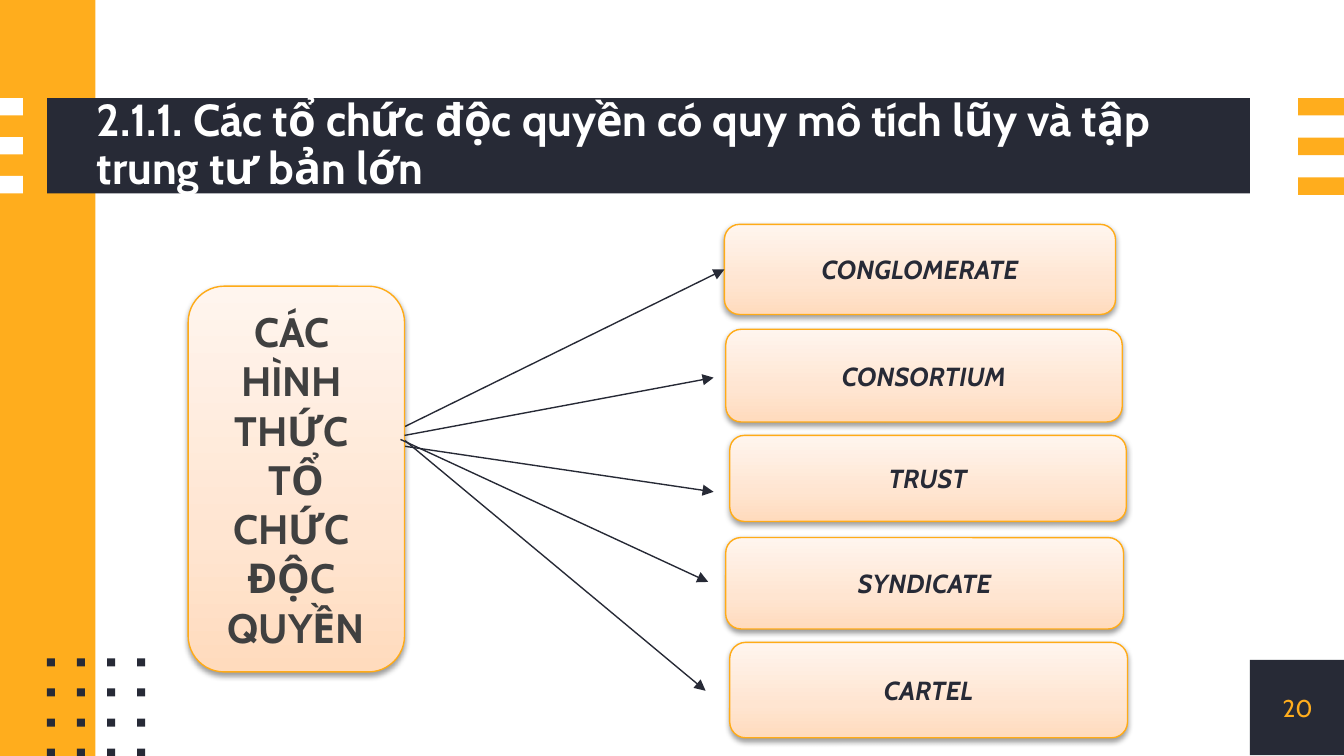
"""Build the slide on the organisational forms of monopoly."""
import lxml.etree
import pptx
import pptx.dml.color
import pptx.enum.shapes
import pptx.enum.text
import pptx.oxml.ns
import pptx.util

Inches = pptx.util.Inches
rgb = pptx.dml.color.RGBColor.from_string
qn = pptx.oxml.ns.qn
SHAPE = pptx.enum.shapes.MSO_SHAPE
ALIGN = pptx.enum.text.PP_ALIGN
NAVY, AMBER, WHITE = "272A36", "FFAD1D", "FFFFFF"
SLIDE_WIDTH = 10
SLIDE_HEIGHT = SLIDE_WIDTH * 9 / 16


def write(shape, text, size, color, bold=False, italic=False,
          align=ALIGN.CENTER, inset=None, spacing=None):
    frame = shape.text_frame
    frame.text = text
    frame.word_wrap = True
    frame.auto_size = pptx.enum.text.MSO_AUTO_SIZE.NONE
    frame.vertical_anchor = pptx.enum.text.MSO_ANCHOR.MIDDLE
    if inset is not None:
        frame.margin_left = frame.margin_right = Inches(inset)
        frame.margin_top = frame.margin_bottom = Inches(inset)
    for paragraph in frame.paragraphs:
        paragraph.alignment = align
        paragraph.line_spacing = spacing
        for run in paragraph.runs:
            run.font.name = "Cabin"
            run.font.size = pptx.util.Pt(size)
            run.font.bold = bold
            run.font.italic = italic
            run.font.color.rgb = rgb(color)


def add_card(shapes, left, top, width, height):
    card = shapes.add_shape(SHAPE.ROUNDED_RECTANGLE, Inches(left), Inches(top),
                            Inches(width), Inches(height))
    card.fill.gradient()
    card.fill.gradient_angle = 90
    stops = card._element.spPr.find(qn("a:gradFill")).find(qn("a:gsLst"))
    for stop in list(stops):
        stops.remove(stop)
    for position, color in ((0, "FFDBBD"), (35000, "FFE5D1"), (100000, "FFF5EE")):
        stop = lxml.etree.SubElement(stops, qn("a:gs"), pos=str(position))
        lxml.etree.SubElement(stop, qn("a:srgbClr"), val=color)
    card.line.color.rgb = rgb("FFAB17")
    card.line.width = pptx.util.Pt(0.75)
    card.shadow.inherit = False
    effects = card._element.spPr.find(qn("a:effectLst"))
    shadow = lxml.etree.SubElement(
        effects, qn("a:outerShdw"), blurRad=str(pptx.util.Pt(3.1)),
        dist=str(pptx.util.Pt(1.6)), dir="5400000", rotWithShape="0")
    shade = lxml.etree.SubElement(shadow, qn("a:srgbClr"), val="000000")
    lxml.etree.SubElement(shade, qn("a:alpha"), val="38000")
    return card


deck = pptx.Presentation()
deck.slide_width, deck.slide_height = Inches(SLIDE_WIDTH), Inches(SLIDE_HEIGHT)
slide = deck.slides.add_slide(deck.slide_layouts[5])
shapes = slide.shapes
title = shapes.title

decor = [
    (9.3, 4.91, 0.71, 0.71, NAVY),
    (0, 0, 0.71, SLIDE_HEIGHT, AMBER),
    (0.35, 0.73, 8.95, 0.71, NAVY),
]
decor += [(0, 0.73 + 0.29 * row, 0.17, 0.13, WHITE) for row in range(3)]
decor += [(9.66, 0.73 + 0.59 * row / 2, 0.34, 0.13, AMBER) for row in range(3)]
decor += [(0.35 + 0.67 * column / 3, 4.9 + 0.67 * row / 3, 0.06, 0.06, NAVY)
          for row in range(4) for column in range(4)]
for left, top, width, height, color in decor:
    block = shapes.add_shape(SHAPE.RECTANGLE, Inches(left), Inches(top),
                             Inches(width), Inches(height))
    block.fill.solid()
    block.fill.fore_color.rgb = rgb(color)
    block.line.fill.background()
    block.shadow.inherit = False

tree = title._element.getparent()
tree.append(title._element)
title.left, title.top = Inches(0.72), Inches(0.73)
title.width, title.height = Inches(8.58), Inches(0.71)
write(title, "2.1.1. Các tổ chức độc quyền có quy mô tích lũy và tập trung tư bản lớn",
      size=24, color=WHITE, bold=True, align=ALIGN.LEFT, inset=0, spacing=0.9)

page_number = shapes.add_textbox(Inches(9.3), Inches(4.91), Inches(0.71), Inches(0.71))
write(page_number, "20", size=13, color=AMBER, inset=0)

forms = {}
for name, left, top, width, height in (
    ("CARTEL", 5.43, 4.78, 2.96, 0.71),
    ("SYNDICATE", 5.4, 4, 2.96, 0.68),
    ("TRUST", 5.43, 3.24, 2.95, 0.64),
    ("CONSORTIUM", 5.4, 2.45, 2.95, 0.69),
    ("CONGLOMERATE", 5.39, 1.67, 2.91, 0.67),
):
    forms[name] = add_card(shapes, left, top, width, height)
    write(forms[name], name, size=14, color=NAVY, bold=True, italic=True)

arrows = []
for start_x, start_y, end_x, end_y, color in (
    (2.98, 3.19, 5.39, 2.01, NAVY),
    (2.94, 3.31, 5.31, 3.66, NAVY),
    (2.92, 3.2, 5.25, 5.14, NAVY),
    (2.98, 3.27, 5.27, 4.33, "262935"),
    (3.01, 3.24, 5.31, 2.81, "262935"),
):
    arrow = shapes.add_connector(
        pptx.enum.shapes.MSO_CONNECTOR.STRAIGHT, Inches(start_x), Inches(start_y),
        Inches(end_x), Inches(end_y))
    arrow.line.color.rgb = rgb(color)
    arrow.line.width = pptx.util.Pt(0.75)
    lxml.etree.SubElement(arrow.line._get_or_add_ln(), qn("a:tailEnd"), type="triangle")
    lxml.etree.SubElement(arrow._element.spPr, qn("a:effectLst"))
    arrows.append(arrow)
arrows[0].end_connect(forms["CONGLOMERATE"], 1)

heading = add_card(shapes, 1.4, 2.13, 1.61, 2.87)
write(heading, "CÁC \nHÌNH \nTHỨC \nTỔ\nCHỨC \nĐỘC \nQUYỀN",
      size=22, color="404040", bold=True)
for arrow in arrows[3:]:
    tree.append(arrow._element)

deck.save("out.pptx")
